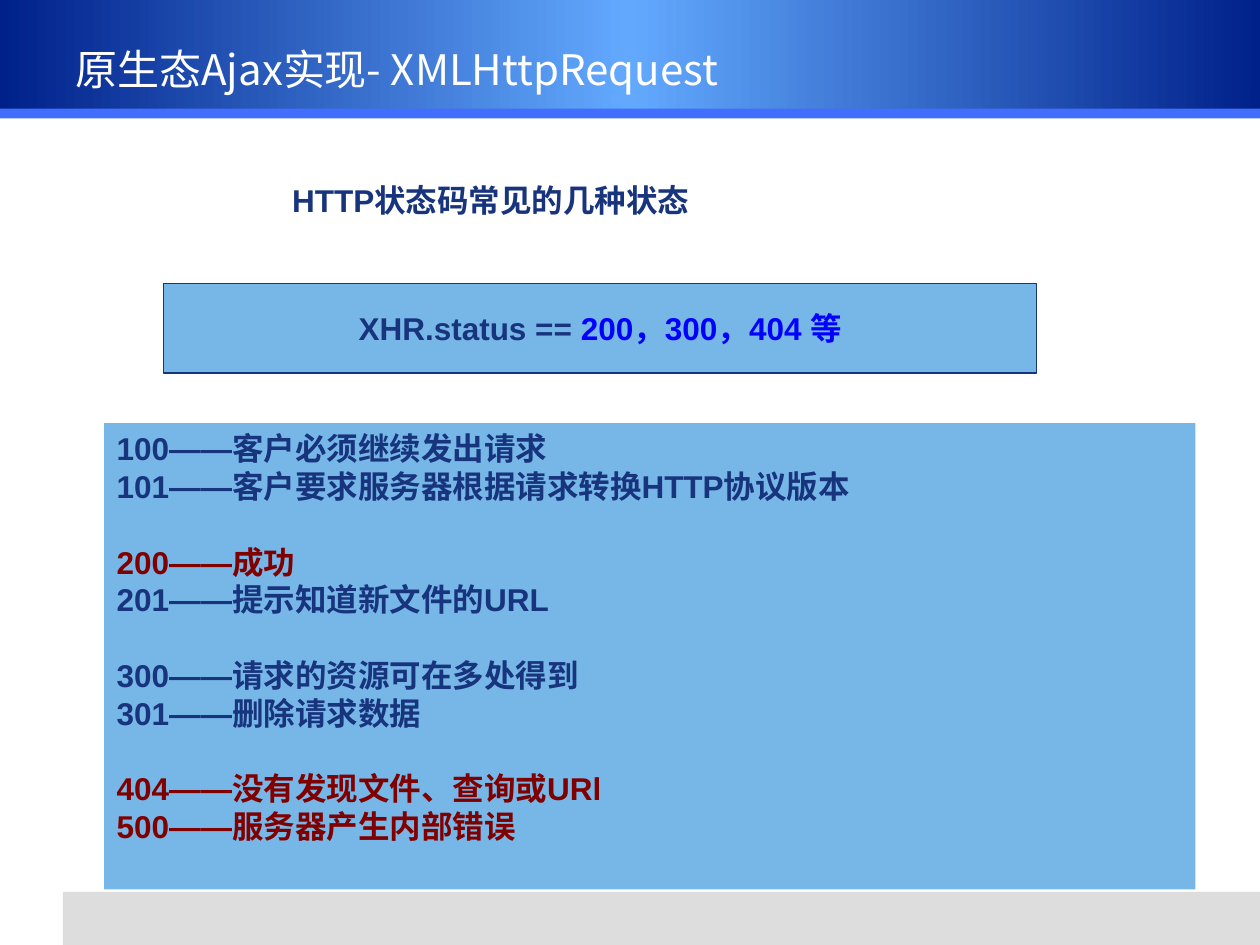
from copy import deepcopy
from dataclasses import dataclass

from pptx import Presentation
from pptx.dml.color import RGBColor
from pptx.enum.shapes import MSO_SHAPE
from pptx.enum.text import MSO_ANCHOR, PP_ALIGN
from pptx.oxml.ns import qn
from pptx.util import Cm, Pt


@dataclass(frozen=True)
class Theme:
    navy: str = "17347D"
    deep_blue: str = "00218A"
    glow: str = "62A9FE"
    stripe: str = "416EFD"
    panel: str = "77B7E7"
    footer: str = "DDDDDD"
    maroon: str = "800000"
    blue: str = "0000FF"
    white: str = "FFFFFF"
    title_font: str = "Noto Sans CJK SC"
    body_font: str = "Arial"
    title_size: float = 24
    body_size: float = 18
    group_gap: float = 21.6


THEME = Theme()
STATUS_GROUPS = [
    [("100——客户必须继续发出请求", THEME.navy),
     ("101——客户要求服务器根据请求转换HTTP协议版本", THEME.navy)],
    [("200——成功", THEME.maroon),
     ("201——提示知道新文件的URL", THEME.navy)],
    [("300——请求的资源可在多处得到", THEME.navy),
     ("301——删除请求数据", THEME.navy)],
    [("404——没有发现文件、查询或URl", THEME.maroon),
     ("500——服务器产生内部错误", THEME.maroon)],
]


def add_panel(slide, box, color):
    panel = slide.shapes.add_shape(MSO_SHAPE.RECTANGLE, *map(Cm, box))
    panel.shadow.inherit = False
    panel.fill.solid()
    panel.fill.fore_color.rgb = RGBColor.from_string(color)
    panel.line.fill.background()
    return panel


def style_run(run, color, font=THEME.body_font, size=THEME.body_size, bold=True):
    run.font.name = font
    run.font.size = Pt(size)
    run.font.bold = bold
    run.font.color.rgb = RGBColor.from_string(color)


def add_header(slide, box, title):
    left, top, width, height = box
    stripe_height = 0.2
    band_height = height - 0.06
    band = add_panel(slide, (left, top, width, band_height), THEME.deep_blue)
    band.fill.gradient()
    band.fill.gradient_angle = 0
    first_stop = band.fill.gradient_stops[0]
    first_stop.color.rgb = RGBColor.from_string(THEME.deep_blue)
    stop_list = band.fill.gradient_stops
    stop_list[1].color.rgb = RGBColor.from_string(THEME.glow)
    stop_list[1].position = 0.5
    gradient = band.element.spPr.find(qn("a:gradFill")).find(qn("a:gsLst"))
    last_stop = deepcopy(gradient[0])
    last_stop.set("pos", "100000")
    gradient.append(last_stop)

    stripe_top = top + height - stripe_height
    add_panel(slide, (left, stripe_top, width, stripe_height), THEME.stripe)

    heading = slide.shapes.add_textbox(
        Cm(left + 1.27), Cm(top + 0.76), Cm(width - 2.54), Cm(1.27))
    heading.text_frame.word_wrap = True
    heading.text_frame.text = title
    style_run(heading.text_frame.paragraphs[0].runs[0], THEME.white,
              THEME.title_font, THEME.title_size, False)


def add_subtitle(slide, box, subtitle):
    caption = slide.shapes.add_textbox(*map(Cm, box))
    caption.text_frame.word_wrap = False
    caption.text_frame.text = subtitle
    style_run(caption.text_frame.paragraphs[0].runs[0], THEME.navy)


def add_status_check(slide, box, parts):
    check = add_panel(slide, box, THEME.panel)
    check.line.color.rgb = RGBColor.from_string(THEME.navy)
    check.line.width = Pt(0.75)
    check.text_frame.word_wrap = False
    check.text_frame.vertical_anchor = MSO_ANCHOR.MIDDLE
    expression = check.text_frame.paragraphs[0]
    expression.alignment = PP_ALIGN.CENTER
    for text, color in parts:
        run = expression.add_run()
        run.text = text
        style_run(run, color)


def add_status_list(slide, box, groups):
    frame = add_panel(slide, box, THEME.panel).text_frame
    frame.word_wrap = True
    frame.vertical_anchor = MSO_ANCHOR.TOP
    entries = [entry for group in groups for entry in group]
    group_starts = {group[0] for group in groups[1:]}
    frame.text = "\n".join(text for text, _ in entries)
    for line, entry in zip(frame.paragraphs, entries):
        line.alignment = PP_ALIGN.LEFT
        if entry in group_starts:
            line.space_before = Pt(THEME.group_gap)
        style_run(line.runs[0], entry[1])


def main():
    presentation = Presentation()
    presentation.slide_width = Cm(25.4)
    presentation.slide_height = Cm(19.05)
    slide = presentation.slides.add_slide(presentation.slide_layouts[6])

    add_panel(slide, (1.27, 17.98, 24.13, 1.07), THEME.footer)
    add_header(slide, (0, 0, 25.4, 2.39), "原生态Ajax实现- XMLHttpRequest")
    add_subtitle(slide, (5.64, 3.53, 8.66, 1.02), "HTTP状态码常见的几种状态")
    add_status_list(slide, (2.1, 8.53, 22, 9.4), STATUS_GROUPS)
    add_status_check(slide, (3.3, 5.72, 17.6, 1.8), [
        ("XHR.status == ", THEME.navy),
        ("200，300，404 等", THEME.blue),
    ])
    presentation.save("out.pptx")


if __name__ == "__main__":
    main()
